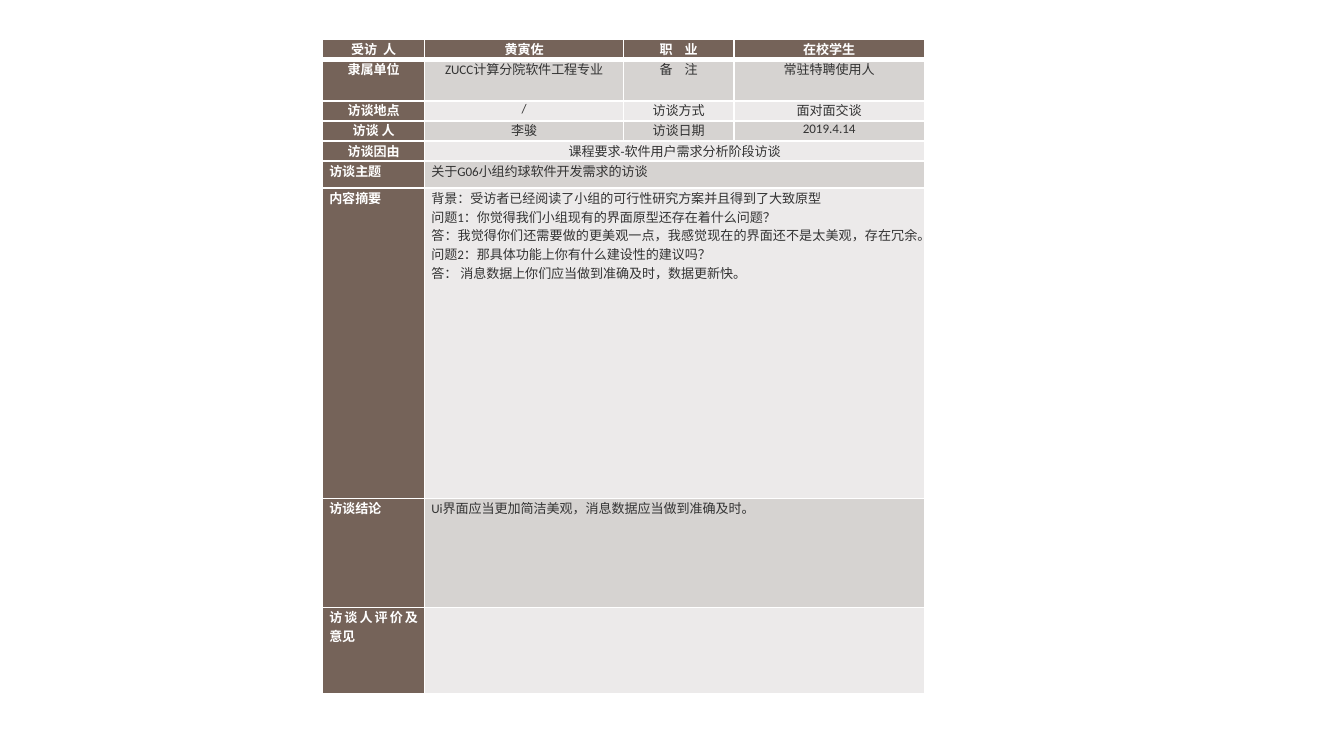
import pptx
import pptx.util
import pptx.dml.color
import pptx.enum.text
import pptx.oxml.ns
import lxml.etree

Inches = pptx.util.Inches
Pt = pptx.util.Pt
ALIGN = pptx.enum.text.PP_ALIGN

BROWN, DARK, LIGHT = "756359", "D6D3D1", "ECEAEA"
WHITE, INK = "FFFFFF", "333333"

COLS = [0.76, 1.48, 0.82, 1.42]
TALL = [0.15, 0.31, 0.15, 0.15, 0.15, 0.2, 2.31, 0.81, 0.64]

# Each row lists its cells; a row of two has its last cell merged to the edge
ROWS = [
    ["受访 人", "黄寅佐", "职 业", "在校学生"],
    ["隶属单位", "ZUCC计算分院软件工程专业", "备 注", "常驻特聘使用人"],
    ["访谈地点", "/", "访谈方式", "面对面交谈"],
    ["访谈 人", "李骏", "访谈日期", "2019.4.14"],
    ["访谈因由", "课程要求-软件用户需求分析阶段访谈"],
    ["访谈主题", "关于G06小组约球软件开发需求的访谈"],
    ["内容摘要",
     "背景：受访者已经阅读了小组的可行性研究方案并且得到了大致原型\n"
     "问题1：你觉得我们小组现有的界面原型还存在着什么问题？\n"
     "答：我觉得你们还需要做的更美观一点，我感觉现在的界面还不是太美观，存在冗余。\n"
     "问题2：那具体功能上你有什么建设性的建议吗？\n"
     "答： 消息数据上你们应当做到准确及时，数据更新快。"],
    ["访谈结论", "Ui界面应当更加简洁美观，消息数据应当做到准确及时。"],
    ["访谈人评价及意见", ""],
]
# Extra width of the space inside spread labels, in points
GAPS = {"受访 人": 1.6, "职 业": 4.8, "备 注": 4.8}


def paint(code):
    return pptx.dml.color.RGBColor.from_string(code)


def add_run(para, text, color, bold, gap=0):
    run = para.add_run()
    run.text = text
    font = run.font
    font.name, font.size, font.bold = "Calibri", Pt(7), bold
    font.color.rgb = paint(color)
    if gap:
        run._r.get_or_add_rPr().set("spc", str(round(gap * 100)))


def write(cell, text, align, color, bold):
    frame = cell.text_frame
    for num, line in enumerate(text.split("\n")):
        para = frame.add_paragraph() if num else frame.paragraphs[0]
        para.alignment = align
        if line in GAPS:
            head, space, tail = line.partition(" ")
            add_run(para, head, color, bold)
            add_run(para, space, color, bold, GAPS[line])
            add_run(para, tail, color, bold)
        elif line:
            add_run(para, line, color, bold)
        else:
            para.font.size = Pt(7)


def edge(cell, side, width):
    qn = pptx.oxml.ns.qn
    line = lxml.etree.SubElement(cell._tc.get_or_add_tcPr(), qn("a:ln" + side))
    line.set("w", str(Pt(width)))
    fill = lxml.etree.SubElement(line, qn("a:solidFill"))
    lxml.etree.SubElement(fill, qn("a:srgbClr")).set("val", WHITE)


def style(cell, row, color):
    cell.margin_left = cell.margin_right = Inches(0.05)
    cell.margin_top = cell.margin_bottom = 0
    # Borders come before the fill; a thick rule sits below the header
    for side in "LRTB":
        thick = (row, side) in ((0, "B"), (1, "T"))
        edge(cell, side, 3 if thick else 1)
    cell.fill.solid()
    cell.fill.fore_color.rgb = paint(color)


def add_grid(slide):
    shape = slide.shapes.add_table(
        len(TALL), len(COLS), Inches(2.4), Inches(0.29),
        Inches(sum(COLS)), Inches(sum(TALL)))
    grid = shape.table
    for col, width in zip(grid.columns, COLS):
        col.width = Inches(width)
    for row, height in zip(grid.rows, TALL):
        row.height = Inches(height)

    for r, texts in enumerate(ROWS):
        band = DARK if r % 2 else LIGHT
        align = ALIGN.CENTER if r < 5 else ALIGN.JUSTIFY
        for c in range(len(COLS)):
            label = r == 0 or c == 0
            cell = grid.cell(r, c)
            style(cell, r, BROWN if label else band)
            if c < len(texts):
                write(cell, texts[c], align, WHITE if label else INK, label)
        if len(texts) == 2:
            grid.cell(r, 1).merge(grid.cell(r, len(COLS) - 1))


def main():
    deck = pptx.Presentation()
    # Widescreen, 16 to 9
    deck.slide_width, deck.slide_height = Inches(10), Inches(10 * 9 / 16)
    # Interview record on a blank layout
    slide = deck.slides.add_slide(deck.slide_layouts[6])
    add_grid(slide)
    deck.save("out.pptx")


if __name__ == "__main__":
    main()
